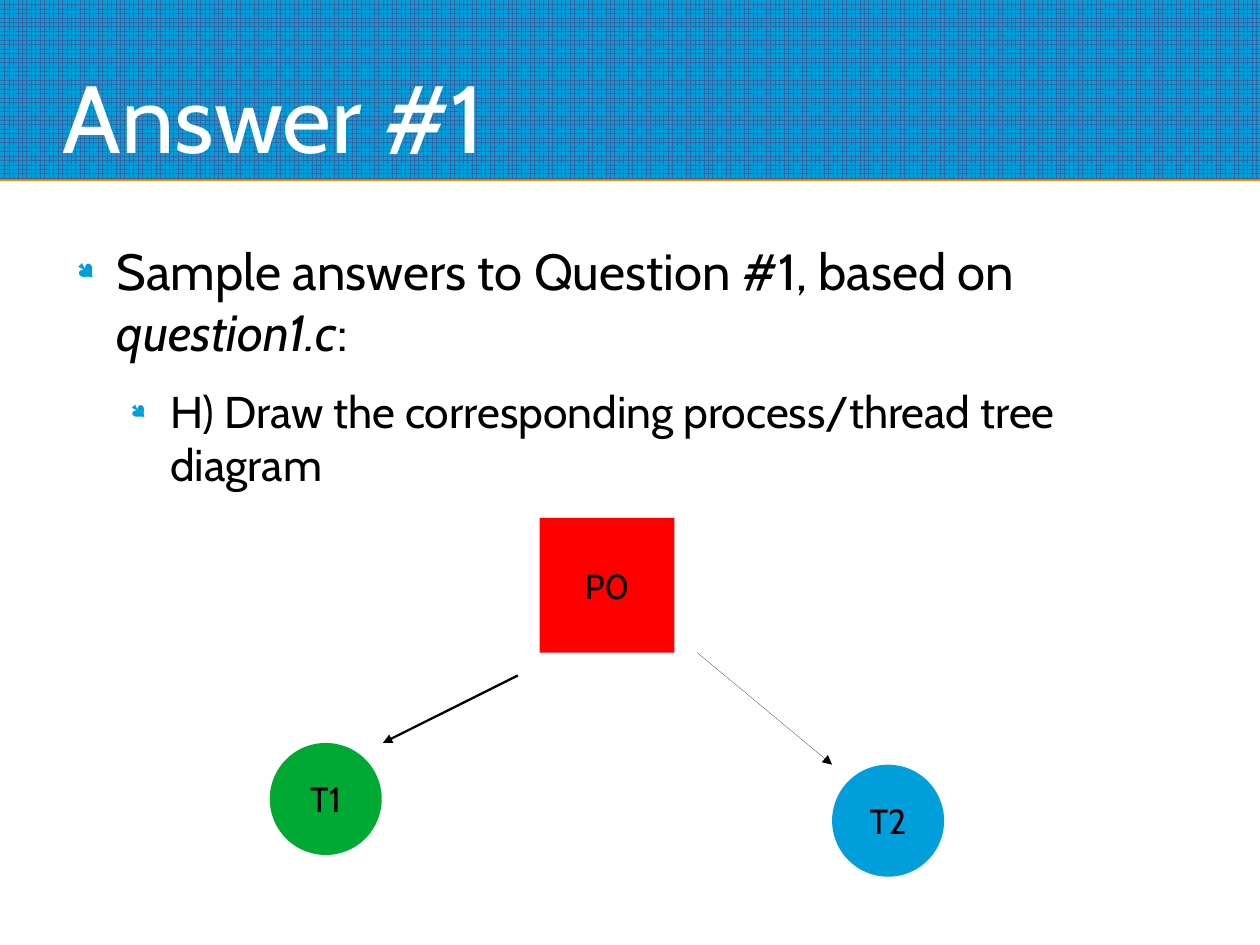
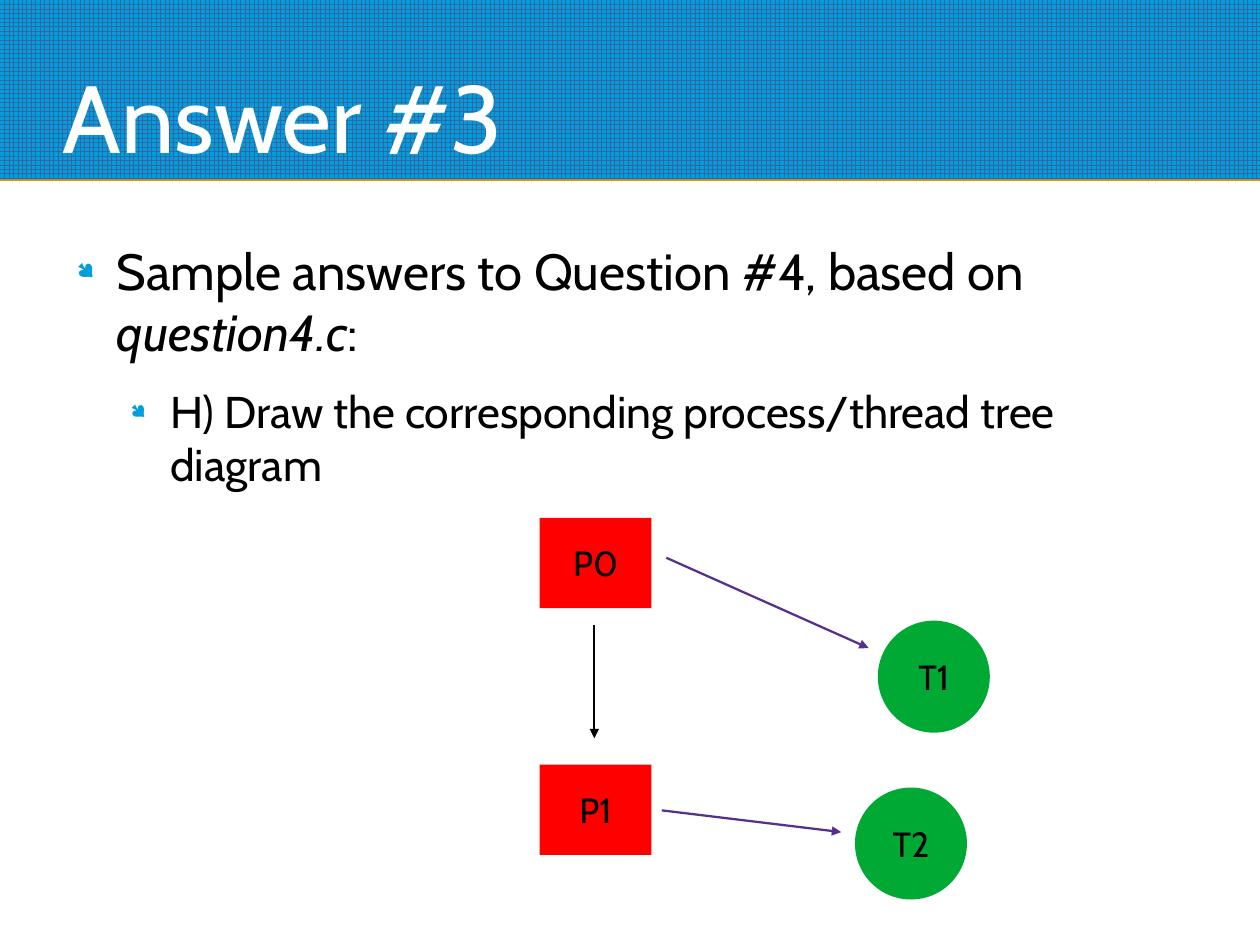
"""Build the answer slides with their process and thread tree diagrams."""
from dataclasses import dataclass

from lxml import etree
from pptx import Presentation
from pptx.dml.color import RGBColor
from pptx.enum import dml, shapes, text
from pptx.oxml.ns import qn
from pptx.util import Cm, Inches, Pt


@dataclass(frozen=True)
class Theme:
    """Colours, fonts and type sizes shared by the slides."""
    font: str = "Cabin"
    bullet_font: str = "Wingdings"
    sky: str = "009EDA"
    grid: str = "3465A4"
    orange: str = "F49100"
    red: str = "FF0000"
    green: str = "00A933"
    purple: str = "55308D"
    black: str = "000000"
    white: str = "FFFFFF"
    title_size: float = 60
    question_size: float = 32
    part_size: float = 28
    node_size: float = 22
    arrow_width: float = 1.42


THEME = Theme()
SLIDE_WIDTH, SLIDE_HEIGHT = Cm(28), Cm(21)
PROCESS = shapes.MSO_SHAPE.RECTANGLE
THREAD = shapes.MSO_SHAPE.OVAL
THREAD_SIZE = (0.98, 0.98)
PROCESS_SIZE = (0.98, 0.79)


def inches(*lengths):
    """Convert several lengths to inches."""
    return [Inches(length) for length in lengths]


def add_element(parent, tag, **attributes):
    """Append a drawing element with the given attributes."""
    child = etree.SubElement(parent, qn(tag))
    for key, value in attributes.items():
        child.set(key, str(value))
    return child


def write(paragraph, content, size, color=THEME.black, italic=False):
    """Add a formatted run of text."""
    run = paragraph.add_run()
    run.text = content
    run.font.name = THEME.font
    run.font.size = Pt(size)
    run.font.italic = italic
    run.font.color.rgb = RGBColor.from_string(color)


def add_text_frame(slide, box, anchor):
    """Add a wrapping text box without margins and return its frame."""
    frame = slide.shapes.add_textbox(*inches(*box)).text_frame
    frame.word_wrap = True
    frame.vertical_anchor = anchor
    frame.margin_left = frame.margin_right = 0
    frame.margin_top = frame.margin_bottom = 0
    return frame


def add_header(slide, box, title):
    """Draw the grid band with its orange edge and the title."""
    left, top, width, height = box
    band = slide.shapes.add_shape(PROCESS, *inches(*box))
    band.fill.patterned()
    band.fill.pattern = dml.MSO_PATTERN.LARGE_GRID
    band.fill.fore_color.rgb = RGBColor.from_string(THEME.grid)
    band.fill.back_color.rgb = RGBColor.from_string(THEME.sky)
    band.line.fill.background()
    band.shadow.inherit = False
    effects = band._element.spPr.find(qn("a:effectLst"))
    edge = add_element(effects, "a:outerShdw", blurRad=0, dist=Pt(0.9),
                       dir=90 * 60000, algn="ctr", rotWithShape=0)
    add_element(edge, "a:srgbClr", val=THEME.orange)

    title_box = (left + 0.55, top + 0.13, width - 1.1, height - 0.19)
    frame = add_text_frame(slide, title_box, text.MSO_ANCHOR.BOTTOM)
    write(frame.paragraphs[0], title, THEME.title_size, THEME.white)


def format_bullet(paragraph, level, space_after):
    """Indent a paragraph by its level and give it a small sky bullet."""
    paragraph.level = level
    paragraph.space_after = Pt(space_after)
    properties = paragraph._p.get_or_add_pPr()
    properties.set("marL", str(Inches(0.47 * (level + 1))))
    properties.set("indent", str(Inches(-0.35)))
    color = add_element(properties, "a:buClr")
    add_element(color, "a:srgbClr", val=THEME.sky)
    add_element(properties, "a:buSzPct", val=45000)
    add_element(properties, "a:buFont", typeface=THEME.bullet_font, charset=2)
    add_element(properties, "a:buChar", char="●")


def add_question(slide, box, number):
    """Write the question reference and its part below."""
    frame = add_text_frame(slide, box, text.MSO_ANCHOR.TOP)
    question = frame.paragraphs[0]
    format_bullet(question, 0, 14)
    size = THEME.question_size
    write(question, f"Sample answers to Question #{number}, based on ", size)
    write(question, f"question{number}.c", size, italic=True)
    write(question, ":", size)
    part = frame.add_paragraph()
    format_bullet(part, 1, 11.2)
    write(part, "H) Draw the corresponding process/thread tree diagram",
          THEME.part_size)


def add_node(slide, box, outline, label, color):
    """Draw a labelled process or thread."""
    node = slide.shapes.add_shape(outline, *inches(*box))
    node.shadow.inherit = False
    node.fill.solid()
    node.fill.fore_color.rgb = RGBColor.from_string(color)
    node.line.fill.background()
    frame = node.text_frame
    frame.word_wrap = False
    frame.vertical_anchor = text.MSO_ANCHOR.MIDDLE
    frame.paragraphs[0].alignment = text.PP_ALIGN.CENTER
    write(frame.paragraphs[0], label, THEME.node_size)


def add_arrow(slide, start, end, color, width):
    """Draw an arrow from a parent towards its child."""
    arrow = slide.shapes.add_connector(
        shapes.MSO_CONNECTOR.STRAIGHT, *inches(*start, *end))
    arrow.line.color.rgb = RGBColor.from_string(color)
    properties = arrow._element.spPr
    stroke = properties.find(qn("a:ln"))
    stroke.set("w", str(Pt(width)))
    add_element(stroke, "a:tailEnd", type="triangle")
    add_element(properties, "a:effectLst")


def add_tree(slide, origin, nodes, arrows):
    """Draw a tree whose parts are placed relative to its origin."""
    left, top = origin
    for label, outline, (x, y), size, color in nodes:
        add_node(slide, (left + x, top + y, *size), outline, label, color)
    for (x1, y1), (x2, y2), color, width in arrows:
        add_arrow(slide, (left + x1, top + y1), (left + x2, top + y2),
                  color, width)


def add_answer(deck, answer, question, nodes, arrows):
    """Add one answer slide."""
    slide = deck.slides.add_slide(deck.slide_layouts[6])
    add_header(slide, (0, 0, SLIDE_WIDTH.inches, 1.57), f"Answer #{answer}")
    add_question(slide, (0.55, 2.1, 9.87, 2.43), question)
    add_tree(slide, (2.36, 4.53), nodes, arrows)


def main():
    """Build and save the deck."""
    deck = Presentation()
    deck.slide_width = SLIDE_WIDTH
    deck.slide_height = SLIDE_HEIGHT
    thick = THEME.arrow_width
    add_answer(
        deck, 1, 1,
        nodes=[
            ("P0", PROCESS, (2.36, 0), (1.18, 1.18), THEME.red),
            ("T1", THREAD, (0, 1.97), THREAD_SIZE, THEME.green),
            ("T2", THREAD, (4.92, 2.16), THREAD_SIZE, THEME.sky),
        ],
        arrows=[
            ((2.17, 1.38), (0.99, 1.97), THEME.black, thick),
            ((3.74, 1.18), (4.92, 2.16), THEME.black, 0),
        ])
    add_answer(
        deck, 3, 4,
        nodes=[
            ("P0", PROCESS, (2.36, 0), PROCESS_SIZE, THEME.red),
            ("T1", THREAD, (5.32, 0.9), THREAD_SIZE, THEME.green),
            ("P1", PROCESS, (2.36, 2.16), PROCESS_SIZE, THEME.red),
            ("T2", THREAD, (5.12, 2.36), THREAD_SIZE, THEME.green),
        ],
        arrows=[
            ((3.47, 0.35), (5.24, 1.14), THEME.purple, thick),
            ((3.43, 2.56), (5, 2.75), THEME.purple, thick),
            ((2.84, 0.94), (2.84, 1.93), THEME.black, thick),
        ])
    deck.save("out.pptx")


if __name__ == "__main__":
    main()
